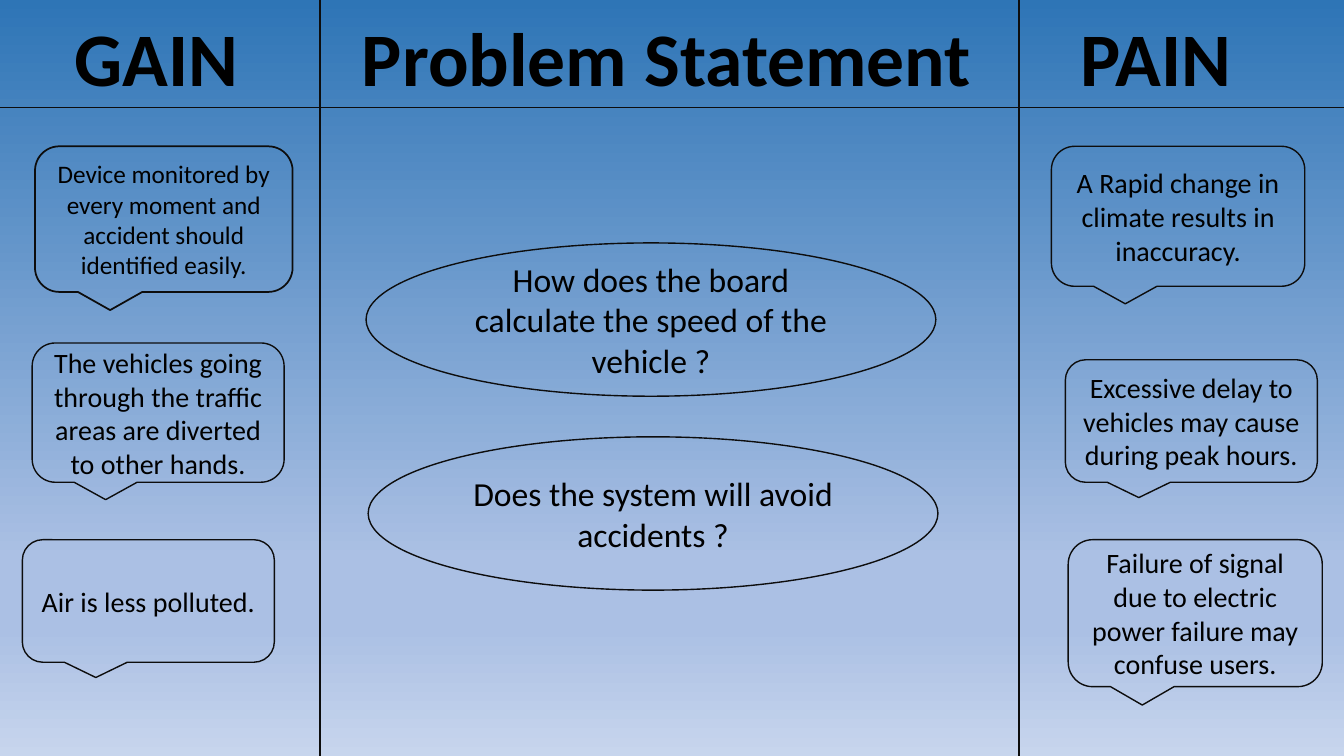
from copy import deepcopy

from lxml.etree import SubElement
from pptx import Presentation
from pptx.dml.color import RGBColor
from pptx.enum.shapes import MSO_CONNECTOR, MSO_SHAPE
from pptx.enum.text import MSO_ANCHOR, PP_ALIGN
from pptx.oxml.ns import qn
from pptx.util import Pt

WIDTH, HEIGHT = 960, 540
HEADER_HEIGHT = 77
GAIN_EDGE, PAIN_EDGE = 228.5, 728
INK, BLACK = "0D0D0D", "000000"
BACKGROUND_STOPS = [(0, "2E75B6"), (0.74, "ABC0E4"), (0.83, "ABC0E4"), (1, "C7D5ED")]

GAINS = [
    ("Device monitored by every moment and accident should identified easily.",
     (25, 104.5, 184, 104), 18, 1.25),
    ("The vehicles going through the traffic areas are diverted to other hands.",
     (23, 245, 180, 99.5), 20, 1),
    ("Air is less polluted.", (16, 385.5, 180, 87.5), 20, 1),
]
PAINS = [
    ("A Rapid change in climate results in inaccuracy.",
     (23, 104.5, 181, 100), 20, 1),
    ("Excessive delay to vehicles may cause during peak hours.",
     (33, 257, 180, 87.5), 20, 1),
    ("Failure of signal due to electric power failure may confuse users.",
     (35, 385.5, 181.5, 105), 20, 1),
]
PROBLEMS = [
    ("How does the board calculate the speed of the vehicle ?",
     (33, 173.5, 407, 109.5), 24, 1),
    ("Does the system will avoid accidents ?",
     (34.5, 312, 407, 109.5), 24, 1),
]


def color(hex_string):
    return RGBColor.from_string(hex_string)


def write_text(shape, text, size, bold=False, align=PP_ALIGN.CENTER,
               anchor=MSO_ANCHOR.MIDDLE, wrap=True):
    frame = shape.text_frame
    frame.word_wrap = wrap
    frame.vertical_anchor = anchor
    paragraph = frame.paragraphs[0]
    paragraph.alignment = align
    run = paragraph.add_run()
    run.text = text
    run.font.name = "Calibri"
    run.font.size = Pt(size)
    run.font.bold = bold
    run.font.color.rgb = color(BLACK)


def paint_background(slide):
    fill = slide.background.fill
    fill.gradient()
    fill.gradient_angle = 270
    stop_list = slide.element.find(".//" + qn("a:gsLst"))
    for _ in range(len(BACKGROUND_STOPS) - len(stop_list)):
        stop_list.append(deepcopy(stop_list[-1]))
    for stop, (position, hex_string) in zip(fill.gradient_stops, BACKGROUND_STOPS):
        stop.position = position
        stop.color.rgb = color(hex_string)


def add_rule(slide, x1, y1, x2, y2):
    rule = slide.shapes.add_connector(
        MSO_CONNECTOR.STRAIGHT, Pt(x1), Pt(y1), Pt(x2), Pt(y2))
    rule.line.color.rgb = color(INK)
    rule.line.width = Pt(1)
    SubElement(rule.element.spPr, qn("a:effectLst"))


def add_column(slide, left, heading, heading_offset, heading_width, kind, notes):
    title = slide.shapes.add_textbox(
        Pt(left + heading_offset), Pt(4), Pt(heading_width), Pt(72.5))
    write_text(title, heading, 54, bold=True, align=PP_ALIGN.LEFT,
               anchor=MSO_ANCHOR.TOP, wrap=False)
    for text, (offset, top, width, height), size, line_width in notes:
        shape = slide.shapes.add_shape(
            kind, Pt(left + offset), Pt(top), Pt(width), Pt(height))
        shape.shadow.inherit = False
        shape.fill.background()
        shape.line.color.rgb = color(INK)
        shape.line.width = Pt(line_width)
        write_text(shape, text, size)


def main():
    presentation = Presentation()
    presentation.slide_width = Pt(WIDTH)
    presentation.slide_height = Pt(HEIGHT)
    slide = presentation.slides.add_slide(presentation.slide_layouts[6])
    paint_background(slide)
    for edge in (GAIN_EDGE, PAIN_EDGE):
        add_rule(slide, edge, 0, edge, HEIGHT)
    add_rule(slide, 0, HEADER_HEIGHT, WIDTH, HEADER_HEIGHT)
    callout = MSO_SHAPE.ROUNDED_RECTANGULAR_CALLOUT
    add_column(slide, 0, "GAIN", 46, 132.5, callout, GAINS)
    add_column(slide, GAIN_EDGE, "Problem Statement", 23, 453.5,
               MSO_SHAPE.OVAL, PROBLEMS)
    add_column(slide, PAIN_EDGE, "PAIN", 36.5, 123, callout, PAINS)
    presentation.save("out.pptx")


if __name__ == "__main__":
    main()
